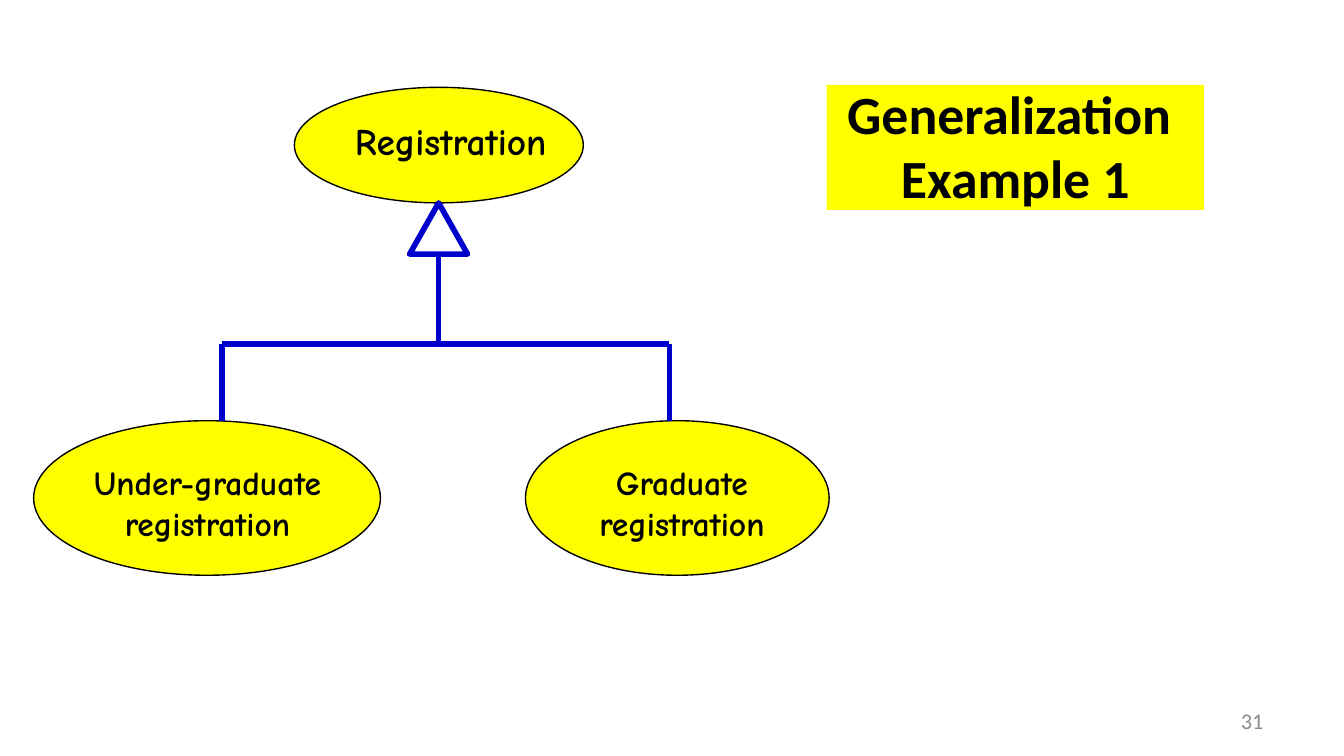
from dataclasses import dataclass

from lxml import etree
from pptx import Presentation
from pptx.dml.color import RGBColor
from pptx.enum import shapes, text
from pptx.oxml import ns
from pptx.util import Pt


@dataclass(frozen=True)
class Theme:
    yellow: str = "FFFF00"
    blue: str = "0000CC"
    black: str = "000000"
    gray: str = "8C8C8C"
    body_font: str = "Calibri"
    label_font: str = "Comic Neue"
    title_size: float = 28.8
    parent_size: float = 20
    child_size: float = 18
    number_size: float = 12
    outline: float = 0.75
    link: float = 3


@dataclass(frozen=True)
class Box:
    left: float
    top: float
    width: float
    height: float

    def lengths(self) -> tuple:
        return Pt(self.left), Pt(self.top), Pt(self.width), Pt(self.height)


@dataclass(frozen=True)
class UseCase:
    label: str
    ellipse: Box
    label_box: Box
    size: float


@dataclass(frozen=True)
class Link:
    start: tuple[float, float]
    end: tuple[float, float]


THEME = Theme()
CHILD_TOP, CHILD_HEIGHT = 225.4, 82.8
LABEL_TOP, LABEL_HEIGHT = 244.8, 49
BAR_Y = 184.3
BAR_LEFT, BAR_RIGHT = 118.8, 358.6
STEM_X = 235
ARROW = Box(STEM_X - 15.5, 108.7, 31, 27.4)

USE_CASES = (
    UseCase("Registration", Box(157.7, 46.8, 154.8, 61.9),
            Box(170.6, 60.5, 141.8, 29.5), THEME.parent_size),
    UseCase("Graduate\nregistration", Box(281.5, CHILD_TOP, 162.7, CHILD_HEIGHT),
            Box(290.9, LABEL_TOP, 149, LABEL_HEIGHT), THEME.child_size),
    UseCase("Under-graduate\nregistration", Box(18, CHILD_TOP, 185.8, CHILD_HEIGHT),
            Box(25.9, LABEL_TOP, 170.6, LABEL_HEIGHT), THEME.child_size),
)

LINKS = (
    Link((BAR_LEFT, BAR_Y), (BAR_LEFT, CHILD_TOP)),
    Link((BAR_RIGHT, BAR_Y), (BAR_RIGHT, CHILD_TOP)),
    Link((BAR_LEFT, BAR_Y), (BAR_RIGHT, BAR_Y)),
    Link((STEM_X, ARROW.top + ARROW.height), (STEM_X, BAR_Y)),
)


def color(value: str) -> RGBColor:
    return RGBColor.from_string(value)


def write_text(shape, content: str, *, size: float, font: str = THEME.body_font,
               fill: str = THEME.black, bold: bool = False,
               align=text.PP_ALIGN.CENTER, anchor=text.MSO_ANCHOR.MIDDLE,
               margins: tuple[float, float] = (7.2, 3.6), spacing: float = 1.0) -> None:
    frame = shape.text_frame
    frame.word_wrap = True
    frame.auto_size = text.MSO_AUTO_SIZE.NONE
    frame.vertical_anchor = anchor
    frame.margin_left = frame.margin_right = Pt(margins[0])
    frame.margin_top = frame.margin_bottom = Pt(margins[1])
    frame.text = content
    for paragraph in frame.paragraphs:
        paragraph.alignment = align
        paragraph.line_spacing = spacing
        for run in paragraph.runs:
            run.font.name = font
            run.font.size = Pt(size)
            run.font.bold = bold
            run.font.color.rgb = color(fill)


def draw_shape(slide, kind, box: Box, line: str, width: float, fill: str | None = None) -> None:
    shape = slide.shapes.add_shape(kind, *box.lengths())
    shape.shadow.inherit = False
    if fill:
        shape.fill.solid()
        shape.fill.fore_color.rgb = color(fill)
    else:
        shape.fill.background()
    shape.line.color.rgb = color(line)
    shape.line.width = Pt(width)


def draw_use_case(slide, case: UseCase) -> None:
    draw_shape(slide, shapes.MSO_SHAPE.OVAL, case.ellipse,
               THEME.black, THEME.outline, THEME.yellow)
    label = slide.shapes.add_textbox(*case.label_box.lengths())
    write_text(label, case.label, size=case.size, font=THEME.label_font, bold=True,
               anchor=text.MSO_ANCHOR.TOP, margins=(5, 2.9))


def draw_link(slide, link: Link) -> None:
    connector = slide.shapes.add_connector(
        shapes.MSO_CONNECTOR.STRAIGHT, *map(Pt, link.start + link.end))
    connector.line.color.rgb = color(THEME.blue)
    connector.line.width = Pt(THEME.link)
    etree.SubElement(connector._element.spPr, ns.qn("a:effectLst"))


def draw_title(slide) -> None:
    title = slide.shapes.title
    title.left, title.top, title.width, title.height = Box(442.8, 45.5, 202.3, 67).lengths()
    title.fill.solid()
    title.fill.fore_color.rgb = color(THEME.yellow)
    write_text(title, "Generalization \vExample 1", size=THEME.title_size, bold=True,
               spacing=0.98)


def main() -> None:
    presentation = Presentation()
    presentation.slide_width, presentation.slide_height = Pt(720), Pt(405)
    slide = presentation.slides.add_slide(presentation.slide_layouts.get_by_name("Title Only"))
    for case in USE_CASES:
        draw_use_case(slide, case)
    draw_shape(slide, shapes.MSO_SHAPE.ISOSCELES_TRIANGLE, ARROW, THEME.blue, THEME.link)
    for link in LINKS:
        draw_link(slide, link)
    draw_title(slide)
    number = slide.shapes.add_textbox(*Box(516.2, 375.1, 167.8, 21.6).lengths())
    write_text(number, "31", size=THEME.number_size, fill=THEME.gray,
               align=text.PP_ALIGN.RIGHT)
    presentation.save("out.pptx")


if __name__ == "__main__":
    main()
